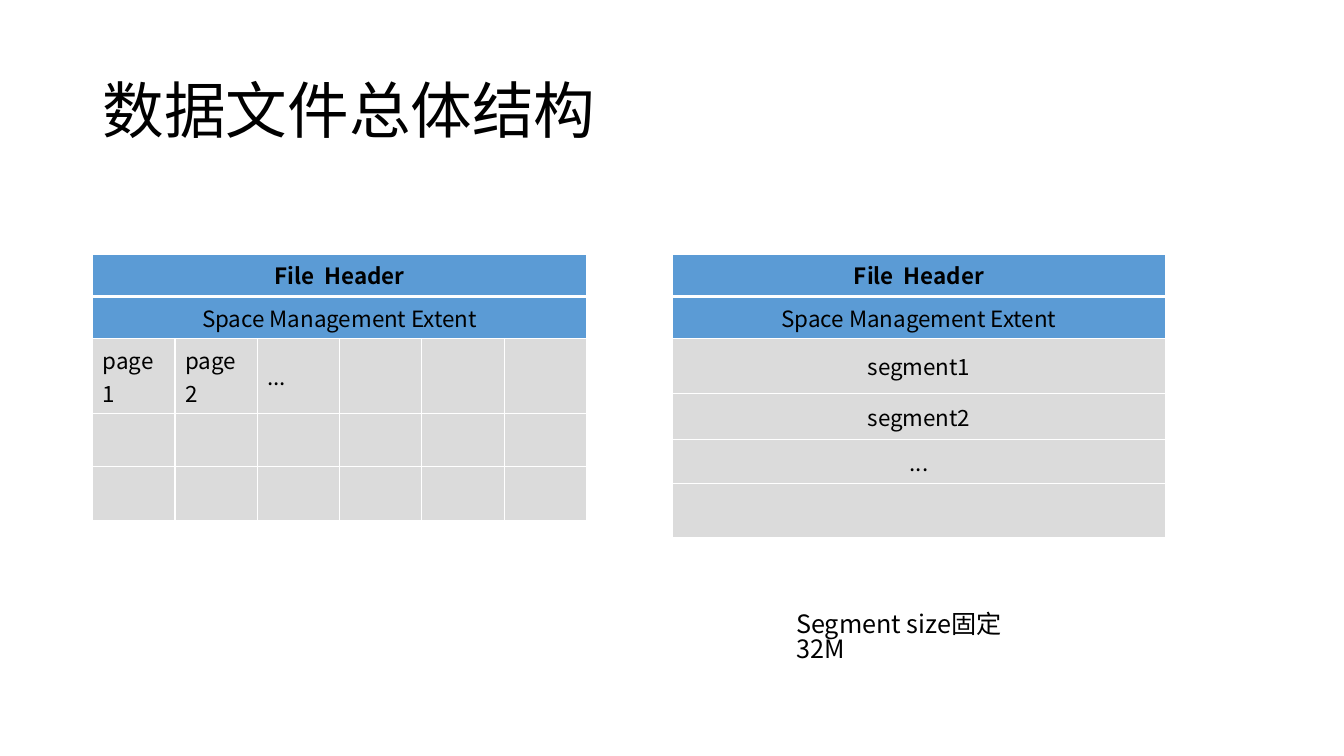
"""Draw the slide on the overall structure of a data file."""
from dataclasses import dataclass

from lxml import etree
from pptx import Presentation
from pptx.dml.color import RGBColor
from pptx.enum.text import MSO_ANCHOR, PP_ALIGN
from pptx.oxml.ns import qn
from pptx.util import Inches, Pt

MIDDLE, TOP = MSO_ANCHOR.MIDDLE, MSO_ANCHOR.TOP
LEFT, CENTER = PP_ALIGN.LEFT, PP_ALIGN.CENTER
FONT = "Noto Sans CJK SC"
COLORS = {"text": "000000", "head": "5B9BD5", "body": "DBDBDB", "line": "FFFFFF"}
WIDE, HIGH = Inches(13.33), Inches(7.5)
HEADS = ["File  Header", "Space Management Extent"]
SIDES = ("L", "R", "T", "B")


@dataclass
class Box:
    """A place on the slide, in percent of its width and height."""
    left: float
    top: float
    width: float
    height: float

    def frame(self) -> tuple[int, int, int, int]:
        """Give left, top, width and height as lengths."""
        return (across(self.left), down(self.top),
                across(self.width), down(self.height))


@dataclass
class Label:
    """A line of free text."""
    text: str
    box: Box
    size: int
    anchor: MSO_ANCHOR
    pitch: float


@dataclass
class Layout:
    """A file layout: two header rows above a body grid."""
    left: float
    cols: int
    rows: list[float]
    body: list[list[str]]
    align: PP_ALIGN


LABELS = [
    Label("数据文件总体结构", Box(6.9, 5.33, 86.25, 19.33), 44, MIDDLE, 0.9),
    Label("Segment size固定32M", Box(58.5, 80.53, 19.75, 5.33), 18, TOP, 0.82),
]
LAYOUTS = [
    Layout(6.9, 6, [5.33, 4.93, 8.4, 7.07, 7.07],
           [["page1", "page2", "..."], [], []], LEFT),
    Layout(50, 1, [5.33, 4.93, 7.2, 6.13, 5.87, 7.07],
           [["segment1"], ["segment2"], ["..."], []], CENTER),
]


def across(share: float) -> int:
    """Turn a percentage of the slide width into a length."""
    return round(WIDE * share / 100)


def down(share: float) -> int:
    """Turn a percentage of the slide height into a length."""
    return round(HIGH * share / 100)


def style(para, size: int, bold: bool = False) -> None:
    """Format every run of a paragraph."""
    for run in para.runs:
        font = run.font
        font.size, font.bold, font.name = Pt(size), bold, FONT
        font.color.rgb = RGBColor.from_string(COLORS["text"])
        east = etree.SubElement(run._r.get_or_add_rPr(), qn("a:ea"))
        east.set("typeface", FONT)


def edge(cell, side: str, width: int) -> None:
    """Rule one side of a cell."""
    line = etree.SubElement(cell._tc.get_or_add_tcPr(), qn(f"a:ln{side}"))
    line.set("w", str(Pt(width)))
    fill = etree.SubElement(line, qn("a:solidFill"))
    etree.SubElement(fill, qn("a:srgbClr")).set("val", COLORS["line"])


def paint(cell, row: int) -> None:
    """Give a cell its borders, fill and anchor."""
    for side in SIDES:
        thick = (row, side) in ((0, "B"), (1, "T"))
        edge(cell, side, 3 if thick else 1)
    cell.fill.solid()
    shade = "head" if row < len(HEADS) else "body"
    cell.fill.fore_color.rgb = RGBColor.from_string(COLORS[shade])
    cell.vertical_anchor = MIDDLE


def write(cell, text: str, align: PP_ALIGN, bold: bool = False) -> None:
    """Put text into a cell."""
    para = cell.text_frame.paragraphs[0]
    para.text, para.alignment = text, align
    style(para, 16, bold)


def add_layout(slide, plan: Layout) -> None:
    """Draw a file layout as a table."""
    box = Box(plan.left, 33.6, 36.75, sum(plan.rows))
    table = slide.shapes.add_table(len(plan.rows), plan.cols, *box.frame()).table
    table.first_row = table.horz_banding = False
    for col in table.columns:
        col.width = across(box.width / plan.cols)
    for row, share in enumerate(plan.rows):
        table.rows[row].height = down(share)
        for col in range(plan.cols):
            paint(table.cell(row, col), row)
    for row, text in enumerate(HEADS):
        cell = table.cell(row, 0)
        if plan.cols > 1:
            cell.merge(table.cell(row, plan.cols - 1))
        write(cell, text, CENTER, row == 0)
    for row, texts in enumerate(plan.body, len(HEADS)):
        for col, text in enumerate(texts):
            write(table.cell(row, col), text, plan.align)


def add_label(slide, label: Label) -> None:
    """Draw a line of free text."""
    frame = slide.shapes.add_textbox(*label.box.frame()).text_frame
    frame.word_wrap, frame.vertical_anchor = True, label.anchor
    para = frame.paragraphs[0]
    para.text, para.line_spacing = label.text, label.pitch
    style(para, label.size)


def main() -> None:
    """Build and save the slide."""
    deck = Presentation()
    deck.slide_width, deck.slide_height = WIDE, HIGH
    slide = deck.slides.add_slide(deck.slide_layouts[6])
    for plan in LAYOUTS:
        add_layout(slide, plan)
    for label in LABELS:
        add_label(slide, label)
    deck.save("out.pptx")


if __name__ == "__main__":
    main()
